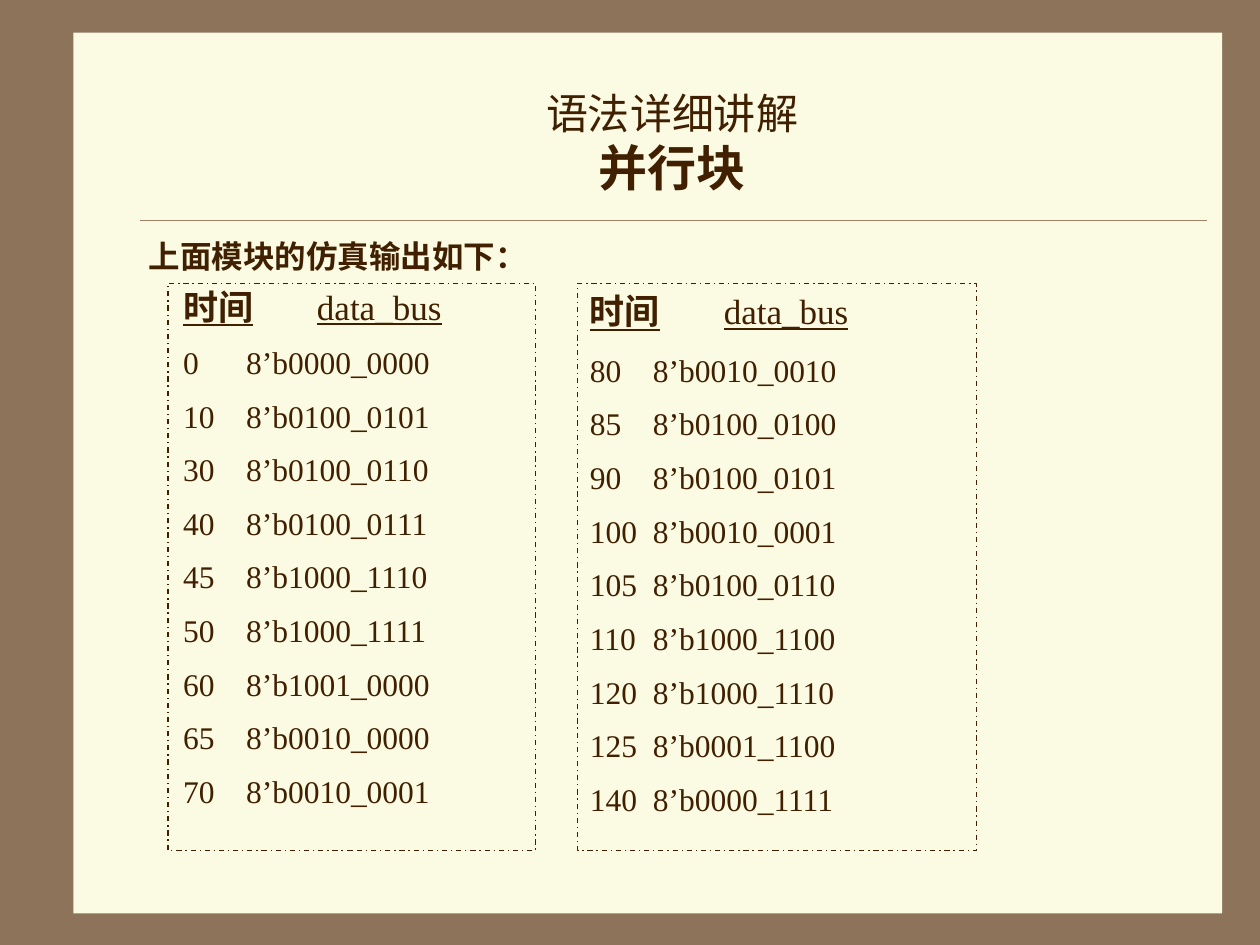
from copy import deepcopy
from dataclasses import dataclass

from lxml.etree import SubElement
from pptx import Presentation
from pptx.dml.color import RGBColor
from pptx.enum.dml import MSO_LINE
from pptx.enum.shapes import MSO_CONNECTOR, MSO_SHAPE
from pptx.enum.text import MSO_ANCHOR, MSO_AUTO_SIZE, PP_ALIGN
from pptx.oxml.ns import qn
from pptx.util import Inches, Pt


@dataclass(frozen=True)
class Theme:
    """Colours, fonts and type sizes of the slide."""
    frame: RGBColor = RGBColor.from_string("8C735A")
    paper: RGBColor = RGBColor.from_string("FBFAE2")
    ink: RGBColor = RGBColor.from_string("402000")
    rule: RGBColor = RGBColor.from_string("A08366")
    latin: str = "Times New Roman"
    asian: str = "Noto Sans CJK SC"
    title: int = 28
    subtitle: int = 24
    head: int = 20
    body: int = 18


THEME = Theme()
LEFT_ROWS = [
    ("0", "8’b0000_0000"), ("10", "8’b0100_0101"), ("30", "8’b0100_0110"),
    ("40", "8’b0100_0111"), ("45", "8’b1000_1110"), ("50", "8’b1000_1111"),
    ("60", "8’b1001_0000"), ("65", "8’b0010_0000"), ("70", "8’b0010_0001"),
]
RIGHT_ROWS = [
    ("80", "8’b0010_0010"), ("85", "8’b0100_0100"), ("90", "8’b0100_0101"),
    ("100", "8’b0010_0001"), ("105", "8’b0100_0110"), ("110", "8’b1000_1100"),
    ("120", "8’b1000_1110"), ("125", "8’b0001_1100"), ("140", "8’b0000_1111"),
]


def write(p, text, size=THEME.body, bold=False, underline=False, font=THEME.latin):
    """Add a formatted run to a paragraph."""
    r = p.add_run()
    r.text = text
    r.font.size, r.font.bold, r.font.underline = Pt(size), bold, underline
    r.font.color.rgb = THEME.ink
    r.font.name = font
    SubElement(r.font._element, qn("a:ea"), typeface=THEME.asian)
    return r


class Page:
    """One slide laid out on a grid of 120 columns by 90 rows."""

    def __init__(self, prs, theme):
        """Add a title and content slide with a plain background."""
        self.theme = theme
        self.cell = prs.slide_width / 120
        self.slide = prs.slides.add_slide(prs.slide_layouts[1])
        self.shapes = self.slide.shapes
        fill = self.slide.background.fill
        fill.solid()
        fill.fore_color.rgb = theme.frame

    def grid(self, *cells):
        """Turn grid cells into lengths."""
        return [round(c * self.cell) for c in cells]

    def place(self, sp, cells):
        """Move a placeholder to its grid cells."""
        sp.left, sp.top, sp.width, sp.height = self.grid(*cells)

    def send_back(self, sp, depth):
        """Put a shape behind the placeholders."""
        self.shapes._spTree.insert(2 + depth, sp._element)

    def rectangle(self, cells):
        """Add a paper-coloured rectangle."""
        sp = self.shapes.add_shape(MSO_SHAPE.RECTANGLE, *self.grid(*cells))
        sp.shadow.inherit = False
        sp.fill.solid()
        sp.fill.fore_color.rgb = self.theme.paper
        sp.line.fill.background()
        return sp

    def rule(self, cells):
        """Add a thin line."""
        line = self.shapes.add_connector(MSO_CONNECTOR.STRAIGHT, *self.grid(*cells))
        line.line.color.rgb = self.theme.rule
        line.line.width = Pt(0.25)
        SubElement(line._element.spPr, qn("a:effectLst"))
        return line

    def title(self, cells, topic, heading):
        """Fill the title with a topic line above a bold heading."""
        sp = self.shapes.title
        self.place(sp, cells)
        tf = sp.text_frame
        tf.auto_size = MSO_AUTO_SIZE.NONE
        tf.vertical_anchor = MSO_ANCHOR.MIDDLE
        p = tf.paragraphs[0]
        p.alignment = PP_ALIGN.CENTER
        r = write(p, topic, size=self.theme.subtitle, font=self.theme.asian)
        p.add_line_break()
        p._p[-1].append(deepcopy(r.font._element))
        write(p, heading, size=self.theme.title, bold=True, font=self.theme.asian)

    def caption(self, cells, text):
        """Add a bold line of text."""
        tf = self.shapes.add_textbox(*self.grid(*cells)).text_frame
        tf.word_wrap = True
        write(tf.paragraphs[0], text, bold=True)

    def listing(self, sp, rows, head_tab, row_tab, inset, loose=0):
        """Fill a dash-dot box with tabbed rows, the first loose ones at full leading."""
        sp.fill.solid()
        sp.fill.fore_color.rgb = self.theme.paper
        sp.line.color.rgb = self.theme.ink
        sp.line.width = Pt(0.75)
        sp.line.dash_style = MSO_LINE.DASH_DOT
        tf = sp.text_frame
        tf.word_wrap = True
        tf.auto_size = MSO_AUTO_SIZE.NONE
        tf.vertical_anchor = MSO_ANCHOR.TOP
        tf.margin_left = tf.margin_right = Inches(inset)
        p = self.row(tf.paragraphs[0], head_tab, 0, 1 if loose else 0.9)
        write(p, "时间\t", size=self.theme.head, bold=True, underline=True)
        write(p, " ", size=self.theme.head)
        write(p, "data_bus", size=self.theme.head, underline=True)
        for i, pair in enumerate(rows, 1):
            p = self.row(tf.add_paragraph(), row_tab, 11.2, 1 if i < loose else 0.9)
            write(p, "\t".join(pair))

    def row(self, p, tab, before, leading):
        """Set the spacing and the tab stop of a paragraph."""
        p.alignment = PP_ALIGN.JUSTIFY
        p.space_before, p.line_spacing = Pt(before), leading
        pPr = p._p.get_or_add_pPr()
        pPr.set("marL", "0")
        pPr.set("indent", "0")
        SubElement(pPr, qn("a:buNone"))
        tabs = SubElement(pPr, qn("a:tabLst"))
        SubElement(tabs, qn("a:tab"), pos=str(Inches(tab)), algn="l")
        return p


def main():
    """Build the slide and save it."""
    prs = Presentation()
    prs.slide_width, prs.slide_height = Inches(10), Inches(7.5)
    page = Page(prs, THEME)
    page.send_back(page.rectangle((7, 3.1, 109.4, 83.9)), 0)
    page.send_back(page.rule((13.3, 21, 115, 21)), 1)
    page.title((13, 6, 102, 15), "语法详细讲解", "并行块")
    body = page.slide.placeholders[1]
    page.place(body, (16, 27, 35, 54))
    page.listing(body, LEFT_ROWS, head_tab=0.99, row_tab=0.87, inset=0.12)
    box = page.rectangle((55, 27, 38, 54))
    page.listing(box, RIGHT_ROWS, head_tab=1.43, row_tab=1.43, inset=0.1, loose=2)
    page.caption((13, 22, 66, 4.8), "上面模块的仿真输出如下：")
    prs.save("out.pptx")


if __name__ == "__main__":
    main()
